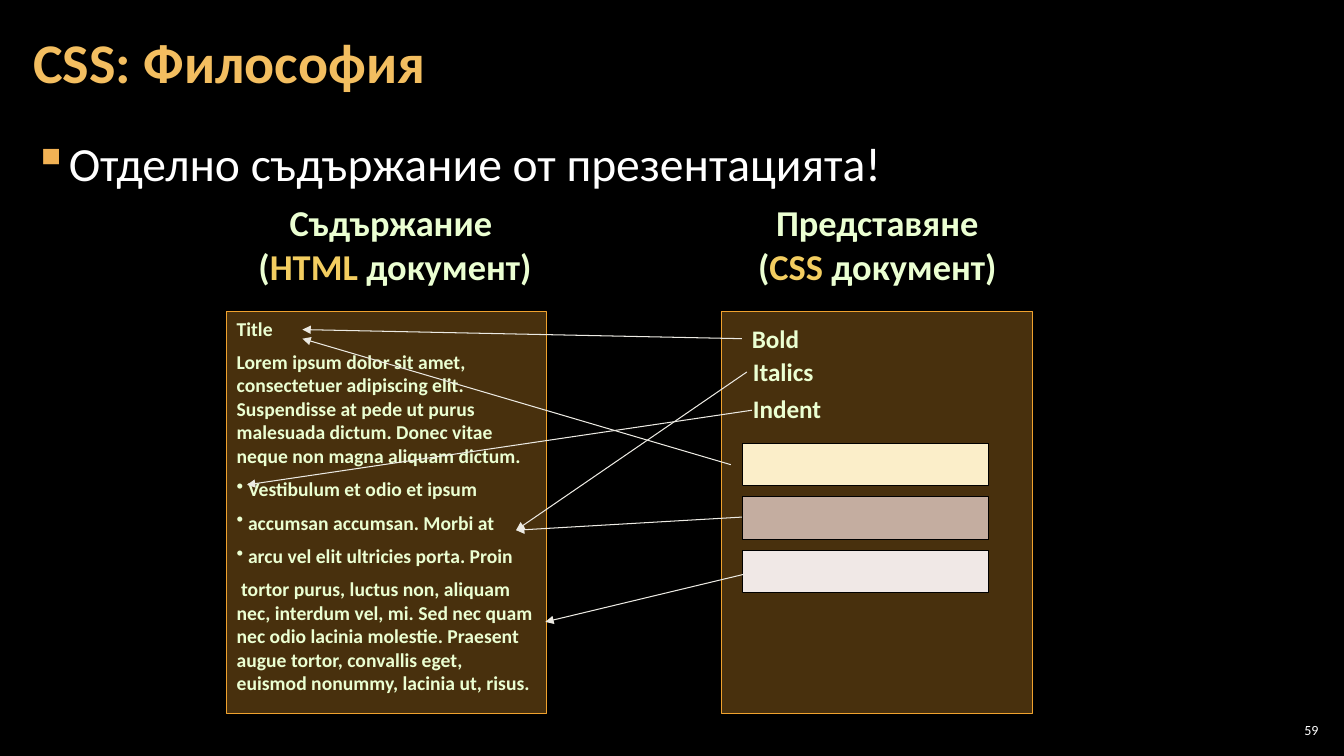
"""Build a slide on how CSS keeps content apart from presentation."""
from dataclasses import dataclass

from lxml import etree
from pptx import Presentation
from pptx.dml.color import RGBColor
from pptx.enum.shapes import MSO_CONNECTOR, MSO_SHAPE
from pptx.enum.text import MSO_ANCHOR, MSO_AUTO_SIZE, PP_ALIGN
from pptx.oxml.ns import qn
from pptx.util import Pt

LEFT, CENTER, RIGHT = PP_ALIGN.LEFT, PP_ALIGN.CENTER, PP_ALIGN.RIGHT
TOP, MIDDLE = MSO_ANCHOR.TOP, MSO_ANCHOR.MIDDLE
FIXED = MSO_AUTO_SIZE.NONE
RECT, LINE = MSO_SHAPE.RECTANGLE, MSO_CONNECTOR.STRAIGHT

BLACK = RGBColor(0x00, 0x00, 0x00)
WHITE = RGBColor(0xFF, 0xFF, 0xFF)
AMBER = RGBColor(0xF0, 0xA2, 0x2E)
GOLD = RGBColor(0xF3, 0xBE, 0x60)
YELLOW = RGBColor(0xF3, 0xCD, 0x60)
ORANGE = RGBColor(0xF2, 0xB2, 0x54)
LIME = RGBColor(0xEB, 0xFF, 0xD2)
CREAM = RGBColor(0xFB, 0xEE, 0xC9)
TAUPE = RGBColor(0xC4, 0xAD, 0xA0)
PEARL = RGBColor(0xF0, 0xE8, 0xE6)
IVORY = RGBColor(0xEC, 0xEA, 0xE3)

FONT = "Calibri"
INSET = (7.2, 3.6)
WIDE = (8.64, 2.88)


@dataclass(frozen=True)
class Box:
    x: float
    y: float
    w: float
    h: float

    def place(self) -> tuple:
        return Pt(self.x), Pt(self.y), Pt(self.w), Pt(self.h)


@dataclass(frozen=True)
class Para:
    runs: tuple
    mark: str = ""


@dataclass(frozen=True)
class Arrow:
    x: float
    y: float
    to_x: float
    to_y: float


@dataclass(frozen=True)
class Label:
    text: str
    box: Box


@dataclass(frozen=True)
class Head:
    top: str
    word: str
    box: Box


PAGE = Box(0, 0, 960, 540)
TITLE = Box(15.12, 2.88, 753.84, 87.12)
BODY = Box(15.12, 90.72, 929.52, 438.48)
NUMBER = Box(910.8, 514.08, 33.84, 15.12)
PANELS = (Box(162, 222.48, 228.24, 287.28), Box(515.52, 222.48, 221.76, 287.28))
SWATCH = Box(530.1, 316.8, 175.68, 30.24)
STEP = 38.16
HEADS = (
    Head("Съдържание ", "HTML ", Box(176.4, 139.68, 211.68, 70.56)),
    Head("Представяне", "CSS ", Box(533.52, 139.68, 186.48, 70.56)),
)
LABELS = (
    Label("Bold", Box(529.92, 227.52, 48.96, 28.8)),
    Label("Italics", Box(530.64, 251.28, 58.32, 28.8)),
    Label("Indent", Box(530.64, 277.2, 64.08, 28.8)),
)
ARROWS = (
    Arrow(529.92, 241.92, 216, 235.44),
    Arrow(533.52, 265.68, 368.64, 378.72),
    Arrow(537.12, 293.04, 176.4, 346.32),
    Arrow(529.92, 369.36, 368.64, 378.72),
    Arrow(530.64, 410.4, 389.52, 444.24),
    Arrow(522, 331.92, 216, 241.92),
)
LOREM = (
    Para(("Title",)),
    Para(("Lorem ipsum dolor sit amet, consectetuer adipiscing elit. "
          "Suspendisse at pede ut purus malesuada dictum. "
          "Donec vitae neque non magna aliquam dictum.",)),
    Para((" Vestibulum et odio et ipsum",), "•"),
    Para((" accumsan accumsan. Morbi at",), "•"),
    Para((" arcu vel elit ultricies porta. Proin",), "•"),
    Para((" tortor purus, luctus non, aliquam nec, interdum vel, mi. "
          "Sed nec quam nec odio lacinia molestie. Praesent augue tortor, "
          "convallis eget, euismod nonummy, lacinia ut, risus.",)),
)


def mark(para, char: str, tint: RGBColor, hang: float) -> None:
    props = para._p.get_or_add_pPr()
    props.set("marL", str(Pt(hang)))
    props.set("indent", str(-Pt(hang)))
    tone = etree.SubElement(props, qn("a:buClr"))
    etree.SubElement(tone, qn("a:srgbClr")).set("val", str(tint))
    etree.SubElement(props, qn("a:buChar")).set("char", char)


def write(frame, paras: tuple, *, size: float, color: RGBColor = LIME,
          accent: RGBColor = YELLOW, bold: bool = True, align=LEFT,
          anchor=TOP, inset: tuple = INSET, wrap: bool = True,
          gap: float = 0, after: float = 0, lead: float = 1.0,
          tint: RGBColor = LIME, hang: float = 0) -> None:
    frame.auto_size = FIXED
    frame.word_wrap = wrap
    frame.vertical_anchor = anchor
    frame.margin_left = frame.margin_right = Pt(inset[0])
    frame.margin_top = frame.margin_bottom = Pt(inset[1])
    for i, item in enumerate(paras):
        para = frame.add_paragraph() if i else frame.paragraphs[0]
        if item.mark:
            mark(para, item.mark, tint, hang)
        para.alignment = align
        para.line_spacing = lead
        para.space_before = Pt(gap if i else 0)
        para.space_after = Pt(after)
        for j, text in enumerate(item.runs):
            run = para.add_run()
            run.text = text
            font = run.font
            font.name, font.size, font.bold = FONT, Pt(size), bold
            font.color.rgb = accent if j % 2 else color


def add_text(slide, box: Box, paras: tuple, **form) -> None:
    write(slide.shapes.add_textbox(*box.place()).text_frame, paras, **form)


def add_rect(slide, box: Box, fill: RGBColor, edge: RGBColor, alpha: int = 100):
    rect = slide.shapes.add_shape(RECT, *box.place())
    rect.shadow.inherit = False
    rect.fill.solid()
    rect.fill.fore_color.rgb = fill
    if alpha < 100:
        tone = rect._element.spPr.find(qn("a:solidFill"))[0]
        etree.SubElement(tone, qn("a:alpha")).set("val", str(alpha * 1000))
    rect.line.color.rgb = edge
    rect.line.width = Pt(0.75)
    return rect


def add_arrow(slide, arrow: Arrow) -> None:
    link = slide.shapes.add_connector(
        LINE, Pt(arrow.x), Pt(arrow.y), Pt(arrow.to_x), Pt(arrow.to_y))
    link.line.color.rgb = IVORY
    link.line.width = Pt(0.75)
    props = link._element.spPr
    tip = etree.SubElement(props.find(qn("a:ln")), qn("a:tailEnd"))
    tip.set("type", "triangle")
    etree.SubElement(props, qn("a:effectLst"))


def main() -> None:
    deck = Presentation()
    deck.slide_width, deck.slide_height = PAGE.place()[2:]
    slide = deck.slides.add_slide(deck.slide_layouts[5])
    slide.background.fill.solid()
    slide.background.fill.fore_color.rgb = BLACK

    title = slide.shapes.title
    title.left, title.top, title.width, title.height = TITLE.place()
    write(title.text_frame, (Para(("CSS: Философия",)),), size=40, color=GOLD,
          anchor=MIDDLE, inset=WIDE, lead=0.9)
    add_text(slide, BODY, (Para(("Отделно съдържание от презентацията!",), "▪"),),
             size=34, color=WHITE, bold=False, inset=WIDE, after=6, lead=1.05,
             tint=ORANGE, hang=23.76)
    add_text(slide, NUMBER, (Para(("59",)),), size=10, color=WHITE, bold=False,
             align=RIGHT, anchor=MIDDLE, inset=(2.88, 2.88))

    left, _ = [add_rect(slide, box, AMBER, AMBER, 30) for box in PANELS]
    write(left.text_frame, LOREM, size=14, gap=7)
    for i, tone in enumerate((CREAM, TAUPE, PEARL)):
        box = Box(SWATCH.x, SWATCH.y + i * STEP, SWATCH.w, SWATCH.h)
        add_rect(slide, box, tone, BLACK)
    for label in LABELS:
        add_text(slide, label.box, (Para((label.text,)),), size=18, wrap=False)
    for head in HEADS:
        paras = (Para((head.top,)), Para(("(", head.word, "документ)")))
        add_text(slide, head.box, paras, size=26, align=CENTER, wrap=False)
    for arrow in ARROWS:
        add_arrow(slide, arrow)
    deck.save("out.pptx")


if __name__ == "__main__":
    main()
